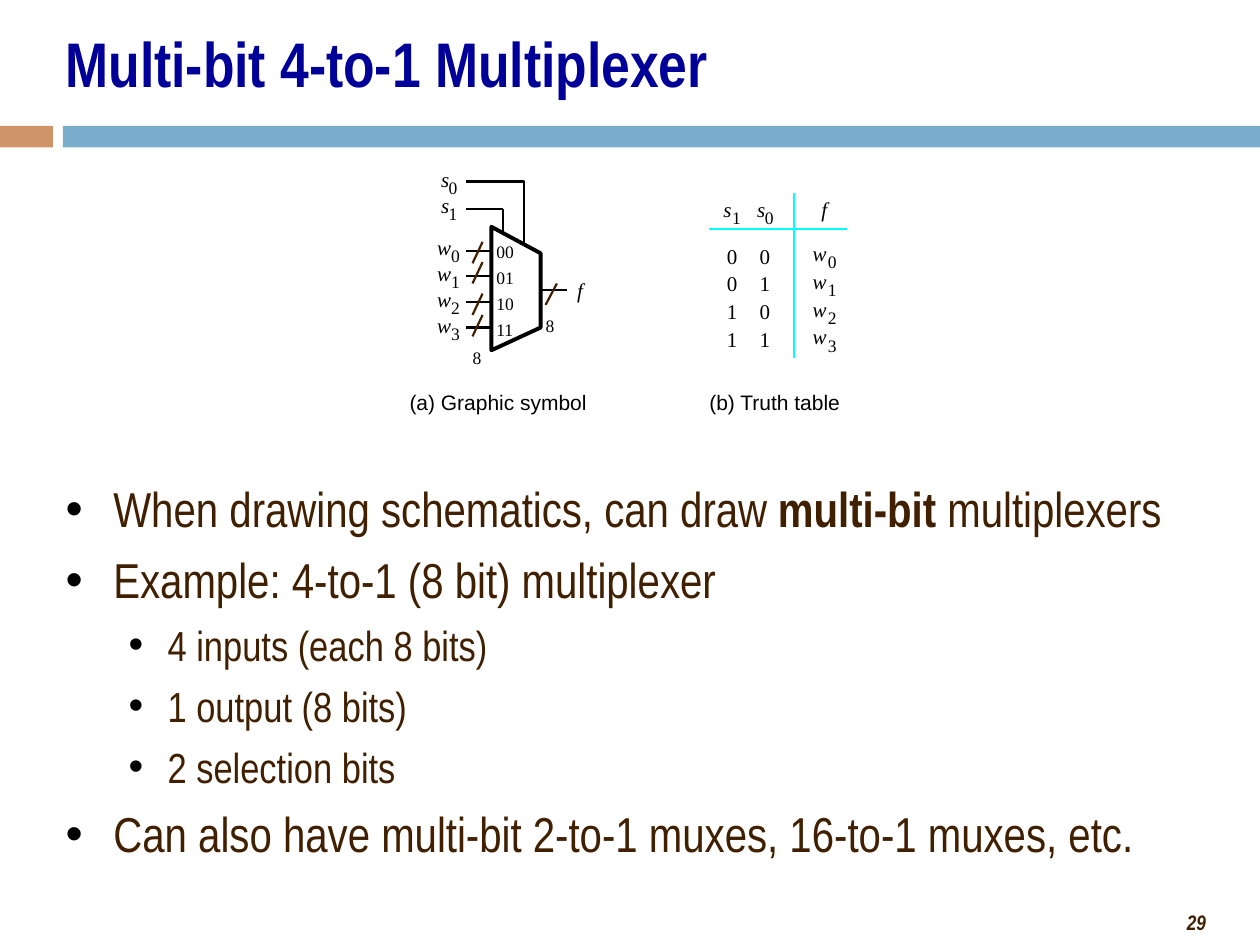
from lxml import etree
from pptx import Presentation
from pptx.dml.color import RGBColor
from pptx.enum.shapes import MSO_CONNECTOR, MSO_SHAPE
from pptx.enum.text import MSO_ANCHOR, MSO_AUTO_SIZE, PP_ALIGN
from pptx.oxml.ns import qn
from pptx.util import Inches, Pt

BLACK = RGBColor(0x00, 0x00, 0x00)
WHITE = RGBColor(0xFF, 0xFF, 0xFF)
BROWN = RGBColor(0x40, 0x20, 0x00)
NAVY = RGBColor(0x00, 0x00, 0x99)
CYAN = RGBColor(0x00, 0xFF, 0xFF)
ORANGE = RGBColor(0xCF, 0x94, 0x67)
BLUE = RGBColor(0x7A, 0xAD, 0xCC)
NARROW, SERIF, SANS = "Arial Narrow", "Times New Roman", "Arial"

prs = Presentation()
prs.slide_width, prs.slide_height = Inches(10), Inches(7.5)
s = prs.slides.add_slide(prs.slide_layouts[1])


def add_label(x, y, w, text, size=12, font=SERIF, italic=False, sub=None, dx=0):
    """Place a label, with an optional subscript dx to its right."""
    tb = s.shapes.add_textbox(Inches(x), Inches(y), Inches(w), Inches(size / 60))
    tf = tb.text_frame
    tf.margin_left = tf.margin_right = tf.margin_top = tf.margin_bottom = 0
    tf.word_wrap = False
    r = tf.paragraphs[0].add_run()
    r.text = text
    r.font.name, r.font.size, r.font.italic = font, Pt(size), italic
    r.font.color.rgb = BLACK
    if sub is not None:
        add_label(x + dx, y + 0.085, 0.12, sub, 10)


def add_line(x1, y1, x2, y2, color=BLACK):
    c = s.shapes.add_connector(MSO_CONNECTOR.STRAIGHT, Inches(x1), Inches(y1),
                               Inches(x2), Inches(y2))
    c.line.color.rgb, c.line.width = color, Pt(1.25)
    etree.SubElement(c._element.spPr, qn("a:effectLst"))


# Divider bars
for x, w, color in [(0, 0.42, ORANGE), (0.5, 9.5, BLUE)]:
    bar = s.shapes.add_shape(MSO_SHAPE.RECTANGLE, Inches(x), Inches(1), Inches(w), Inches(0.17))
    bar.shadow.inherit = False
    bar.fill.solid()
    bar.fill.fore_color.rgb = color
    bar.line.fill.background()

# Title
title = s.shapes.title
title.left, title.top = Inches(0.42), Inches(0.08)
title.width, title.height = Inches(9.17), Inches(0.83)
tf = title.text_frame
tf.auto_size = MSO_AUTO_SIZE.NONE
tf.vertical_anchor = MSO_ANCHOR.MIDDLE
p = tf.paragraphs[0]
p.alignment = PP_ALIGN.LEFT
r = p.add_run()
r.text = "Multi-bit 4-to-1 Multiplexer"
r.font.name, r.font.size, r.font.bold = NARROW, Pt(36), True
r.font.color.rgb = NAVY

# Bullet list: level and runs as (text, bold)
bullets = [
    (0, [("When drawing schematics, can draw ", False), ("multi-bit", True),
         (" multiplexers", False)]),
    (0, [("Example: 4-to-1 (8 bit) multiplexer", False)]),
    (1, [("4 inputs (each 8 bits)", False)]),
    (1, [("1 output (8 bits)", False)]),
    (1, [("2 selection bits", False)]),
    (0, [("Can also have multi-bit 2-to-1 muxes, 16-to-1 muxes, etc.", False)]),
]
level_format = [(28, 7, 0.38, -0.38), (24, 6, 0.81, -0.31)]
body = s.placeholders[1]
body.left, body.top = Inches(0.42), Inches(3.75)
body.width, body.height = Inches(9.17), Inches(3.25)
tf = body.text_frame
tf.auto_size = MSO_AUTO_SIZE.NONE
for i, (level, runs) in enumerate(bullets):
    size, before, margin, indent = level_format[level]
    p = tf.add_paragraph() if i else tf.paragraphs[0]
    p.level, p.space_before = level, Pt(before)
    pPr = p._p.get_or_add_pPr()
    pPr.set("marL", str(Inches(margin)))
    pPr.set("indent", str(Inches(indent)))
    bu_clr = etree.SubElement(pPr, qn("a:buClr"))
    etree.SubElement(bu_clr, qn("a:srgbClr"), val=str(BLACK))
    etree.SubElement(pPr, qn("a:buChar"), char="•")
    for text, bold in runs:
        r = p.add_run()
        r.text = text
        r.font.name, r.font.size, r.font.bold = NARROW, Pt(size), bold
        r.font.color.rgb = BROWN

# Select wires
add_line(3.7, 1.66, 3.99, 1.66)
add_line(3.99, 1.66, 3.99, 1.86)
for i in range(2):
    add_label(3.5, 1.32 + 0.21 * i, 0.12, "s", italic=True, sub=str(i), dx=0.06)

# Multiplexer body and the outer select wire
outlines = [
    ([(4.29, 2.6), (4.29, 2.01), (3.9, 1.8), (3.9, 2.78)], True, 2.25),
    ([(3.7, 1.44), (4.16, 1.44), (4.16, 1.93)], False, 1.25),
]
for points, closed, width in outlines:
    points = [(Inches(x), Inches(y)) for x, y in points]
    fb = s.shapes.build_freeform(*points[0])
    fb.add_line_segments(points[1:], close=closed)
    sp = fb.convert_to_shape()
    sp.shadow.inherit = False
    if closed:
        sp.fill.solid()
        sp.fill.fore_color.rgb = WHITE
    else:
        sp.fill.background()
    sp.line.color.rgb, sp.line.width = BLACK, Pt(width)

# Data inputs with bus slashes
for i, slash_y in enumerate([1.92, 2.08, 2.33, 2.5]):
    wire_y = 1.99 + 0.203 * i
    add_line(3.7, wire_y, 3.9, wire_y)
    add_line(3.83, slash_y, 3.75, slash_y + 0.17, BROWN)
    add_label(3.47, 1.86 + 0.206 * i, 0.16, "w", italic=True, sub=str(i), dx=0.11)
    add_label(3.94, 1.91 + 0.207 * i, 0.16, f"{i:02b}", 10)

# Output and bus widths
add_line(4.5, 2.3, 4.29, 2.3)
add_line(4.42, 2.25, 4.33, 2.42, BROWN)
add_label(4.58, 2.2, 0.1, "f", italic=True)
add_label(3.75, 2.75, 0.08, "8", 10)
add_label(4.33, 2.5, 0.08, "8", 10)

# Truth table
add_line(6.72, 1.82, 5.63, 1.82, CYAN)
add_line(6.3, 2.84, 6.3, 1.53, CYAN)
add_label(5.74, 1.56, 0.12, "s", italic=True, sub="1", dx=0.07)
add_label(6.01, 1.56, 0.12, "s", italic=True, sub="0", dx=0.06)
add_label(6.52, 1.56, 0.1, "f", italic=True)
for i in range(4):
    y = 1.93 + 0.22 * i
    for x, bit in zip((5.77, 6.03), f"{i:02b}"):
        add_label(x, y, 0.14, bit)
    add_label(6.45, y - 0.02, 0.16, "w", italic=True, sub=str(i), dx=0.12)

# Captions
add_label(3.25, 3.09, 1.45, "(a) Graphic symbol", font=SANS)
add_label(5.63, 3.09, 1.09, "(b) Truth table", font=SANS)

# Slide number
tb = s.shapes.add_textbox(Inches(7.5), Inches(7.17), Inches(2.17), Inches(0.3))
tb.text_frame.word_wrap = True
p = tb.text_frame.paragraphs[0]
p.alignment = PP_ALIGN.RIGHT
r = p.add_run()
r.text = "29"
r.font.name, r.font.size = NARROW, Pt(12)
r.font.bold = r.font.italic = True
r.font.color.rgb = BROWN

prs.save("out.pptx")
